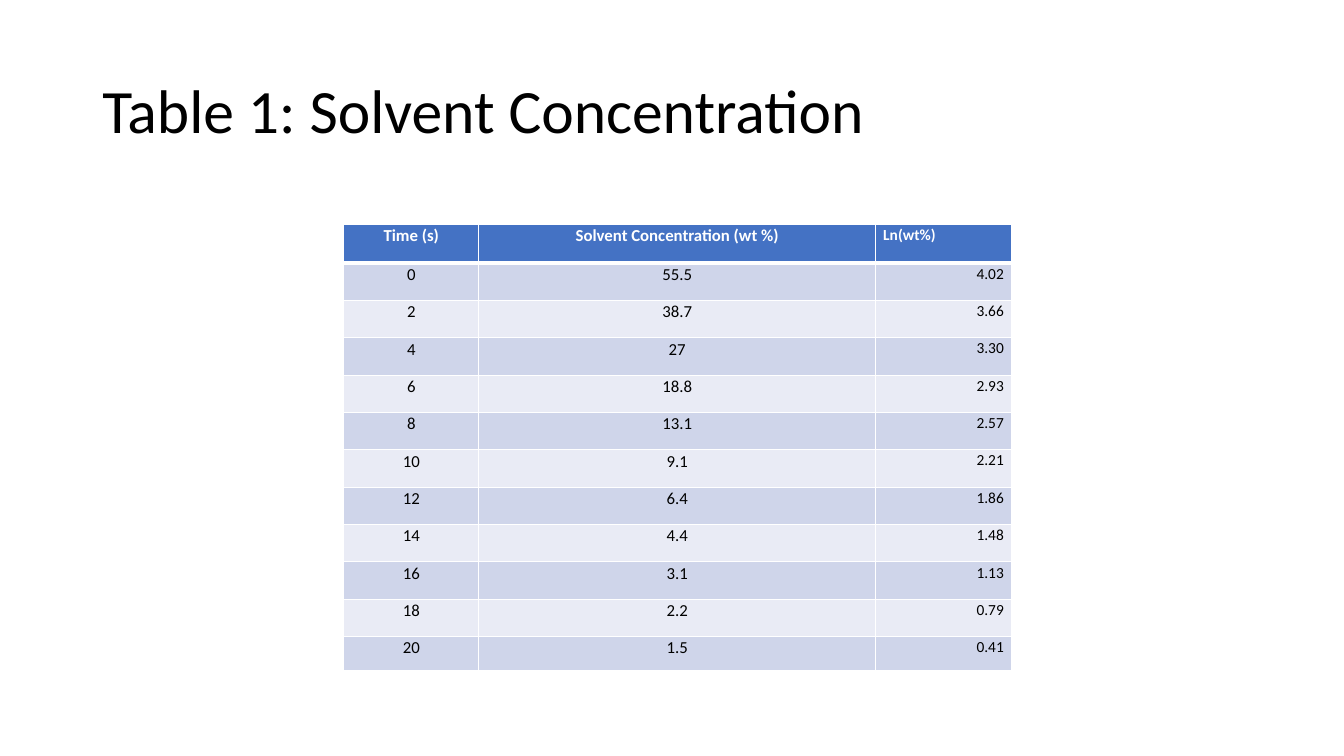
"""Builds the solvent concentration table slide."""
from lxml.etree import SubElement as Sub
from pptx import Presentation
from pptx.dml.color import RGBColor as Rgb
from pptx.enum.text import MSO_ANCHOR as Anchor, PP_ALIGN as Align
from pptx.oxml.ns import qn
from pptx.util import Pt

HUES = {"ink": "000000", "white": "FFFFFF", "head": "4472C4",
        "dark": "CFD5EA", "light": "E9EBF5"}
HEAD = ("Time (s)", "Solvent Concentration (wt %)", "Ln(wt%)")
WEIGHTS = ("55.5", "38.7", "27", "18.8", "13.1", "9.1",
           "6.4", "4.4", "3.1", "2.2", "1.5")
LOGS = ("4.02", "3.66", "3.30", "2.93", "2.57", "2.21",
        "1.86", "1.48", "1.13", "0.79", "0.41")
WIDTHS = (96.5, 283.5, 97)
HEIGHTS = (28, *[26.7] * 10, 24.5)


def apply(obj, form):
    """Set each attribute named in the format dict."""
    for name, value in form.items():
        setattr(obj, name, value)


def write(frame, text, size, hue, bold=False, **form):
    """Fill the first paragraph of a text frame."""
    para = frame.paragraphs[0]
    apply(para, form)
    run = para.add_run()
    run.text = text
    apply(run.font, {"name": "Calibri", "size": Pt(size), "bold": bold})
    run.font.color.rgb = Rgb.from_string(HUES[hue])


def edge(cell, sides):
    """Draw white cell borders, given their widths by side."""
    props = cell._tc.get_or_add_tcPr()
    for side, width in sides.items():
        line = Sub(props, qn(f"a:ln{side}"), w=str(Pt(width)))
        fill = Sub(line, qn("a:solidFill"))
        Sub(fill, qn("a:srgbClr"), val=HUES["white"])


def add_title(slide, text):
    """Add the slide title."""
    box = slide.shapes.add_textbox(Pt(66), Pt(28.75), Pt(828), Pt(104.4))
    apply(box.text_frame, {"word_wrap": True, "vertical_anchor": Anchor.MIDDLE})
    write(box.text_frame, text, 44, "ink", line_spacing=0.9)


def add_cell(cell, text, row, col):
    """Style and fill one table cell."""
    top, last = row == 0, col == 2
    apply(cell, {"margin_left": Pt(5.4), "margin_right": Pt(5.4),
                 "margin_top": 0, "margin_bottom": 0})
    edge(cell, {"L": 1, "R": 1, "T": 3 if row == 1 else 1, "B": 3 if top else 1})
    cell.fill.solid()
    band = "head" if top else "dark" if row % 2 else "light"
    cell.fill.fore_color.rgb = Rgb.from_string(HUES[band])
    side = Align.CENTER if not last else Align.LEFT if top else Align.RIGHT
    write(cell.text_frame, text, 11 if last else 12, "white" if top else "ink",
          top, alignment=side, line_spacing=1.07)


def add_grid(slide, rows):
    """Add the data table."""
    grid = slide.shapes.add_table(len(rows), len(HEAD), Pt(245.5), Pt(160),
                                  Pt(sum(WIDTHS)), Pt(sum(HEIGHTS))).table
    for col, width in zip(grid.columns, WIDTHS):
        col.width = Pt(width)
    for row, height in zip(grid.rows, HEIGHTS):
        row.height = Pt(height)
    for i, row in enumerate(rows):
        for j, text in enumerate(row):
            add_cell(grid.cell(i, j), text, i, j)


def main():
    """Build and save the slide."""
    deck = Presentation()
    apply(deck, {"slide_width": Pt(960), "slide_height": Pt(540)})
    slide = deck.slides.add_slide(deck.slide_layouts[6])
    add_title(slide, "Table 1: Solvent Concentration")
    times = [str(2 * i) for i in range(len(LOGS))]
    add_grid(slide, [HEAD, *zip(times, WEIGHTS, LOGS)])
    deck.save("out.pptx")


if __name__ == "__main__":
    main()
